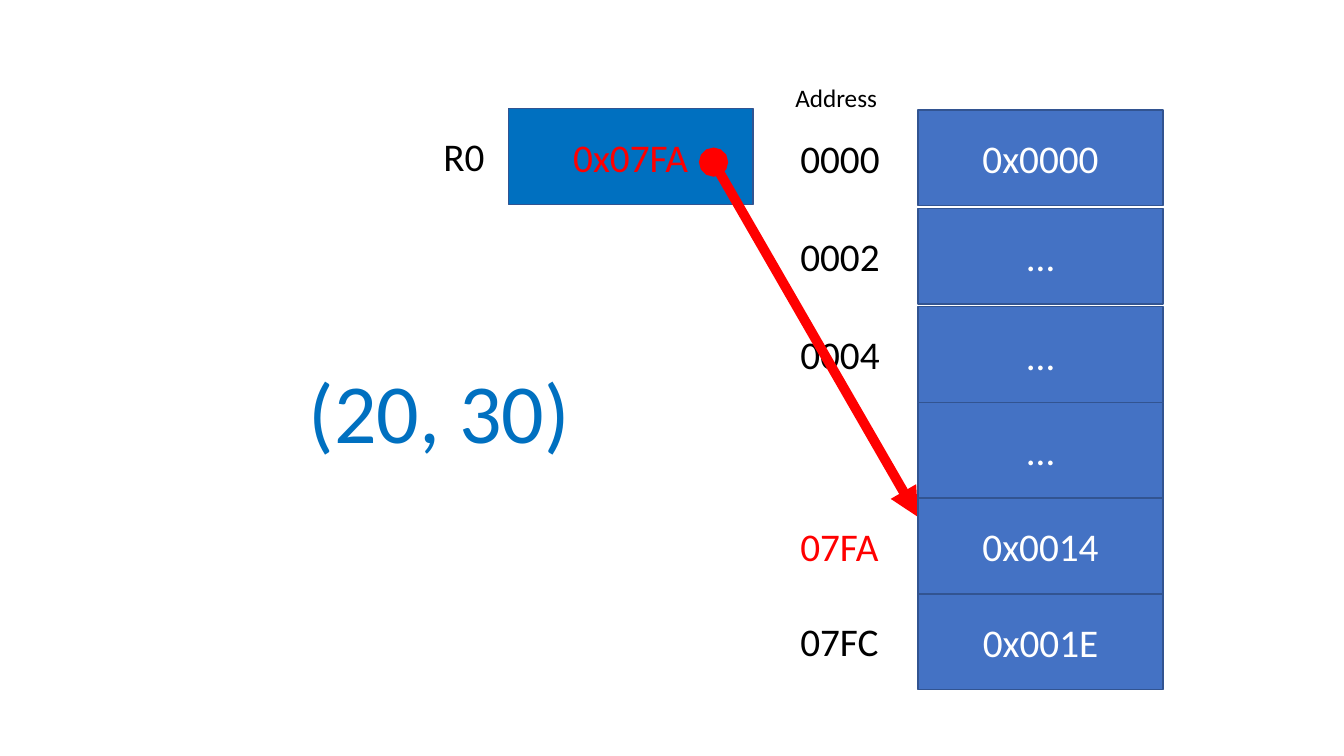
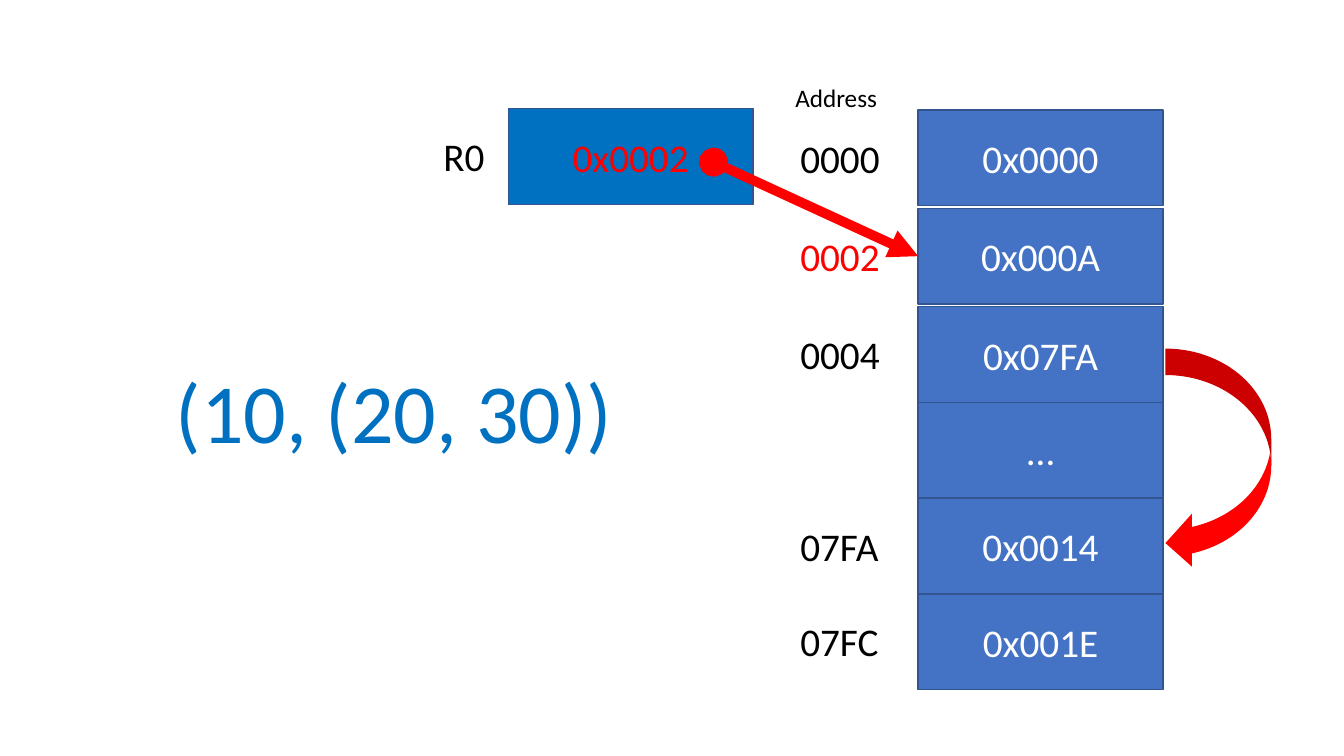
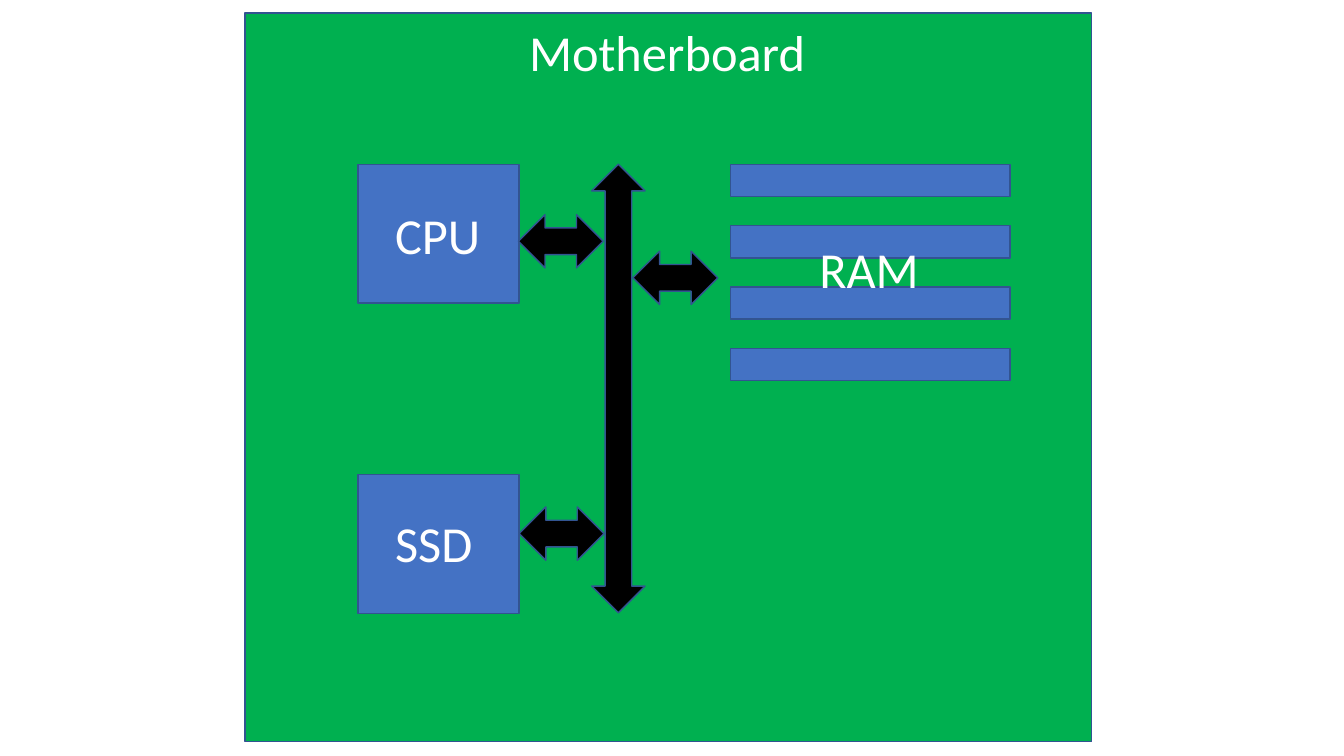
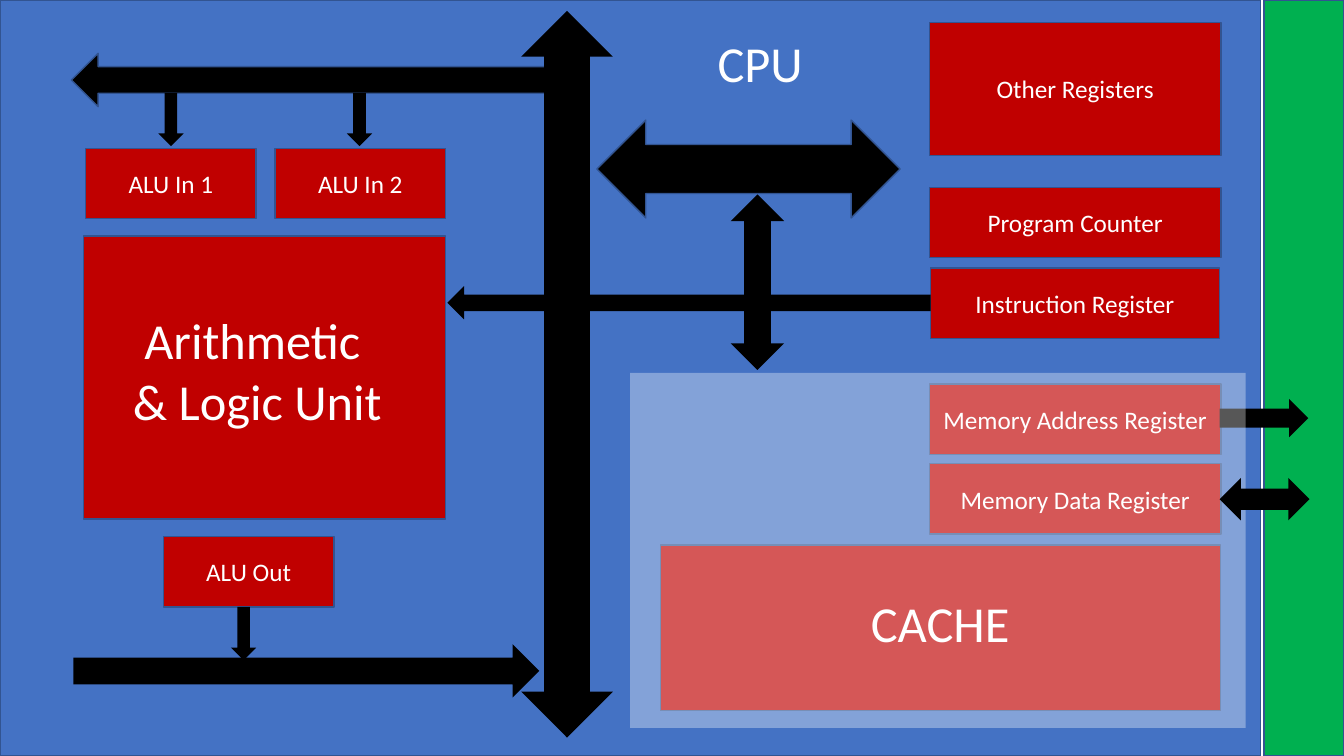
from dataclasses import dataclass
from typing import Optional

from lxml import etree
from pptx import Presentation
from pptx import util as u
from pptx.dml.color import RGBColor
from pptx.enum import shapes, text
from pptx.oxml import ns

COLUMNS, ROWS = 32, 18
SLIDE_WIDTH, SLIDE_HEIGHT = u.Inches(13.33), u.Inches(7.5)
FONT = "Calibri"

WHITE = RGBColor(0xFF, 0xFF, 0xFF)
BLACK = RGBColor(0x00, 0x00, 0x00)
RED = RGBColor(0xFF, 0x00, 0x00)
DARK_RED = RGBColor(0xC0, 0x00, 0x00)
BLUE = RGBColor(0x44, 0x72, 0xC4)
STRONG_BLUE = RGBColor(0x00, 0x70, 0xC0)
EDGE_BLUE = RGBColor(0x32, 0x54, 0x91)
GREEN = RGBColor(0x00, 0xB0, 0x50)

RECTANGLE = shapes.MSO_SHAPE.RECTANGLE
VERTICAL = shapes.MSO_SHAPE.UP_DOWN_ARROW
HORIZONTAL = shapes.MSO_SHAPE.LEFT_RIGHT_ARROW
DOWN = shapes.MSO_SHAPE.DOWN_ARROW
CURVED = shapes.MSO_SHAPE.CURVED_LEFT_ARROW
CENTER = text.PP_ALIGN.CENTER
LEFT = text.PP_ALIGN.LEFT


def across(columns: float) -> int:
    return round(SLIDE_WIDTH * columns / COLUMNS)


def down(rows: float) -> int:
    return round(SLIDE_HEIGHT * rows / ROWS)


@dataclass(frozen=True)
class Area:
    left: float
    top: float
    width: float
    height: float

    def lengths(self) -> tuple[int, int, int, int]:
        return across(self.left), down(self.top), across(self.width), down(self.height)


def write(frame, words: str, size: float, color: RGBColor, align) -> None:
    frame.text = words
    for para in frame.paragraphs:
        para.alignment = align
        for span in para.runs:
            span.font.name = FONT
            span.font.size = u.Pt(size)
            span.font.color.rgb = color


@dataclass(frozen=True)
class Block:
    area: Area
    fill: RGBColor
    kind: shapes.MSO_SHAPE = RECTANGLE
    outlined: bool = True
    words: str = ""
    size: float = 18
    color: RGBColor = WHITE
    rotation: float = 0
    opacity: Optional[int] = None

    def draw(self, page) -> None:
        box = page.shapes.add_shape(self.kind, *self.area.lengths())
        box.shadow.inherit = False
        box.rotation = self.rotation
        box.fill.solid()
        box.fill.fore_color.rgb = self.fill
        if self.opacity is not None:
            tint = box._element.spPr.find(".//" + ns.qn("a:srgbClr"))
            etree.SubElement(tint, ns.qn("a:alpha"), val=str(self.opacity * 1000))
        if self.outlined:
            box.line.color.rgb = EDGE_BLUE
            box.line.width = u.Pt(1)
        else:
            box.line.fill.background()
        if self.words:
            box.text_frame.vertical_anchor = text.MSO_ANCHOR.MIDDLE
            write(box.text_frame, self.words, self.size, self.color, CENTER)


@dataclass(frozen=True)
class Caption:
    area: Area
    words: str
    size: float = 36
    color: RGBColor = WHITE
    align: text.PP_ALIGN = LEFT
    wrap: bool = False

    def draw(self, page) -> None:
        box = page.shapes.add_textbox(*self.area.lengths())
        box.text_frame.word_wrap = self.wrap
        box.text_frame.auto_size = text.MSO_AUTO_SIZE.SHAPE_TO_FIT_TEXT
        write(box.text_frame, self.words, self.size, self.color, self.align)


@dataclass(frozen=True)
class MemoryPage:
    title: str
    title_inset: float
    pointer: str
    target: str
    target_row: float
    values: tuple[str, ...]


ADDRESSES = ("0000", "0002", "0004", "", "07FA", "07FC")
CELL_LEFT, CELL_WIDTH, CELL_HEIGHT = 21.86, 5.83, 2.28
LABEL_DROP, LABEL_HEIGHT = 0.45, 1.37
FIRST_TOP, LOOSE_PITCH, LOOSE_STEPS = 2.62, 2.34, 2
REGISTER_TOP = 2.59


def cell_top(index: int) -> float:
    loose = min(index, LOOSE_STEPS)
    return FIRST_TOP + LOOSE_PITCH * loose + CELL_HEIGHT * (index - loose)


def add_title(page, words: str, inset: float) -> None:
    box = page.shapes.title
    box.left, box.top, box.width, box.height = Area(3.94, 8.69, 11.47, 2.42).lengths()
    frame = box.text_frame
    frame.margin_left = across(inset)
    frame.vertical_anchor = text.MSO_ANCHOR.MIDDLE
    frame.word_wrap = True
    frame.auto_size = text.MSO_AUTO_SIZE.NONE
    write(frame, words, 60, STRONG_BLUE, LEFT)
    frame.paragraphs[0].line_spacing = 0.9


def add_pointer(page, target_row: float) -> None:
    arrow = page.shapes.add_connector(
        shapes.MSO_CONNECTOR.STRAIGHT,
        across(16.99), down(3.86), across(CELL_LEFT), down(target_row),
    )
    arrow.line.color.rgb = RED
    arrow.line.width = u.Pt(7)
    line = arrow.line._get_or_add_ln()
    etree.SubElement(line, ns.qn("a:headEnd"), type="oval")
    etree.SubElement(line, ns.qn("a:tailEnd"), type="triangle")
    etree.SubElement(arrow._element.spPr, ns.qn("a:effectLst"))


def add_cell(page, index: int, memory: MemoryPage) -> None:
    top, address = cell_top(index), ADDRESSES[index]
    Block(Area(CELL_LEFT, top, CELL_WIDTH, CELL_HEIGHT), BLUE,
          words=memory.values[index], size=28).draw(page)
    if address:
        color = RED if address == memory.target else BLACK
        Caption(Area(18.82, top + LABEL_DROP, 2.66, LABEL_HEIGHT), address, 28,
                color, wrap=True).draw(page)


def add_register(page, pointer: str) -> None:
    Caption(Area(18.7, 1.85, 2.45, 0.96), "Address", 18, BLACK).draw(page)
    Block(Area(12.1, REGISTER_TOP, CELL_WIDTH, CELL_HEIGHT), STRONG_BLUE,
          words=pointer, size=28, color=RED).draw(page)
    Caption(Area(10.32, REGISTER_TOP + LABEL_DROP, 1.58, LABEL_HEIGHT), "R0", 28,
            BLACK, wrap=True).draw(page)


def add_memory_page(deck, memory: MemoryPage):
    page = deck.slides.add_slide(deck.slide_layouts[5])
    add_title(page, memory.title, memory.title_inset)
    for index in range(4):
        add_cell(page, index, memory)
    add_register(page, memory.pointer)
    add_pointer(page, memory.target_row)
    for index in range(4, len(ADDRESSES)):
        add_cell(page, index, memory)
    return page


def add_diagram_page(deck, items: list) -> None:
    page = deck.slides.add_slide(deck.slide_layouts[6])
    for item in items:
        item.draw(page)


def arrow(kind, left: float, top: float, width: float, height: float,
          outlined: bool = False, rotation: float = 0) -> Block:
    return Block(Area(left, top, width, height), BLACK, kind, outlined, rotation=rotation)


def register(words: str, left: float, top: float, width: float = 6.94,
             height: float = 1.68) -> Block:
    return Block(Area(left, top, width, height), DARK_RED, words=words)


PAIR = MemoryPage("(20, 30)", 3.41, "0x07FA", "07FA", 12.31,
                  ("0x0000", "…", "…", "…", "0x0014", "0x001E"))
NESTED = MemoryPage("(10, (20, 30))", 0.24, "0x0002", "0002", 6.1,
                    ("0x0000", "0x000A", "0x07FA", "…", "0x0014", "0x001E"))

CHIP_LEFT, CHIP_TOP = 8.52, 3.91
MOTHERBOARD = [
    Block(Area(5.83, 0.31, 20.16, 17.35), GREEN),
    Caption(Area(12.36, 0.38, 7.13, 1.7), "Motherboard"),
    Block(Area(CHIP_LEFT, CHIP_TOP, 3.84, 3.31), BLUE),
    Caption(Area(9.17, 4.73, 2.54, 1.7), "CPU"),
    Block(Area(CHIP_LEFT, 11.3, 3.84, 3.31), BLUE),
    Caption(Area(9.17, 12.07, 2.35, 1.7), "SSD"),
    *(Block(Area(17.4, CHIP_TOP + 1.46 * bank, 6.65, 0.77), BLUE) for bank in range(4)),
    Caption(Area(19.27, 5.54, 2.88, 1.7), "RAM"),
    arrow(VERTICAL, 14.09, CHIP_TOP, 1.27, 10.68, True),
    *(arrow(HORIZONTAL, left, top, 2.02, 1.27, True)
      for left, top in ((12.36, 12.07), (12.34, 5.11), (15.07, 5.98))),
]

REGISTER_LEFT = 22.13
PROCESSOR = [
    Block(Area(30.1, 0, 1.9, ROWS), GREEN),
    Block(Area(0, 0, 30.02, ROWS), BLUE),
    Caption(Area(16.85, 0.65, 2.54, 1.7), "CPU"),
    Block(Area(15.72, 12.98, 13.34, 3.94), DARK_RED),
    Caption(Area(17.5, 13.99, 9.77, 1.7), "CACHE", align=CENTER, wrap=True),
    Block(Area(1.99, 5.62, 8.62, 6.74), DARK_RED),
    Caption(Area(2.93, 7.25, 7.37, 3.14), " Arithmetic \n& Logic Unit", wrap=True),
    arrow(VERTICAL, 17.4, 4.63, 1.27, 4.18),
    arrow(HORIZONTAL, 1.7, 1.27, 12.1, 1.27, True),
    arrow(HORIZONTAL, 14.21, 2.86, 7.22, 2.33, True),
    register("Program Counter", REGISTER_LEFT, 4.46),
    register("ALU In 1", 2.04, 3.53, 4.06),
    register("ALU In 2", 6.55, 3.53, 4.06),
    register("ALU Out", 3.89, 12.77, 4.06),
    arrow(VERTICAL, 12.41, 0.26, 2.18, 17.3),
    arrow(HORIZONTAL, 0.6, 15.34, 12.24, 1.27),
    register("Other Registers", REGISTER_LEFT, 0.53, height=3.17),
    *(arrow(DOWN, left, top, 0.6, 1.27)
      for left, top in ((8.26, 2.21), (3.77, 2.21), (5.5, 14.45))),
    register("Instruction Register", 22.15, 6.38, 6.89),
    arrow(DOWN, 16.01, 1.46, 0.79, 11.5, rotation=90),
    register("Memory Data Register", REGISTER_LEFT, 11.04),
    register("Memory Address Register", REGISTER_LEFT, 9.14),
    arrow(DOWN, 29.64, 8.9, 0.91, 2.11, rotation=270),
    Block(Area(0.19, 15.1, 1.56, 1.63), BLUE, outlined=False),
    Block(Area(15, 8.88, 14.66, 8.45), WHITE, outlined=False, opacity=34),
    arrow(HORIZONTAL, 29.04, 11.38, 2.14, 1.01),
]


def main() -> None:
    deck = Presentation()
    deck.slide_width, deck.slide_height = SLIDE_WIDTH, SLIDE_HEIGHT
    add_memory_page(deck, PAIR)
    nested_page = add_memory_page(deck, NESTED)
    Block(Area(27.75, 8.3, 2.52, 5.26), RED, CURVED, False).draw(nested_page)
    add_diagram_page(deck, MOTHERBOARD)
    add_diagram_page(deck, PROCESSOR)
    deck.save("out.pptx")


main()
